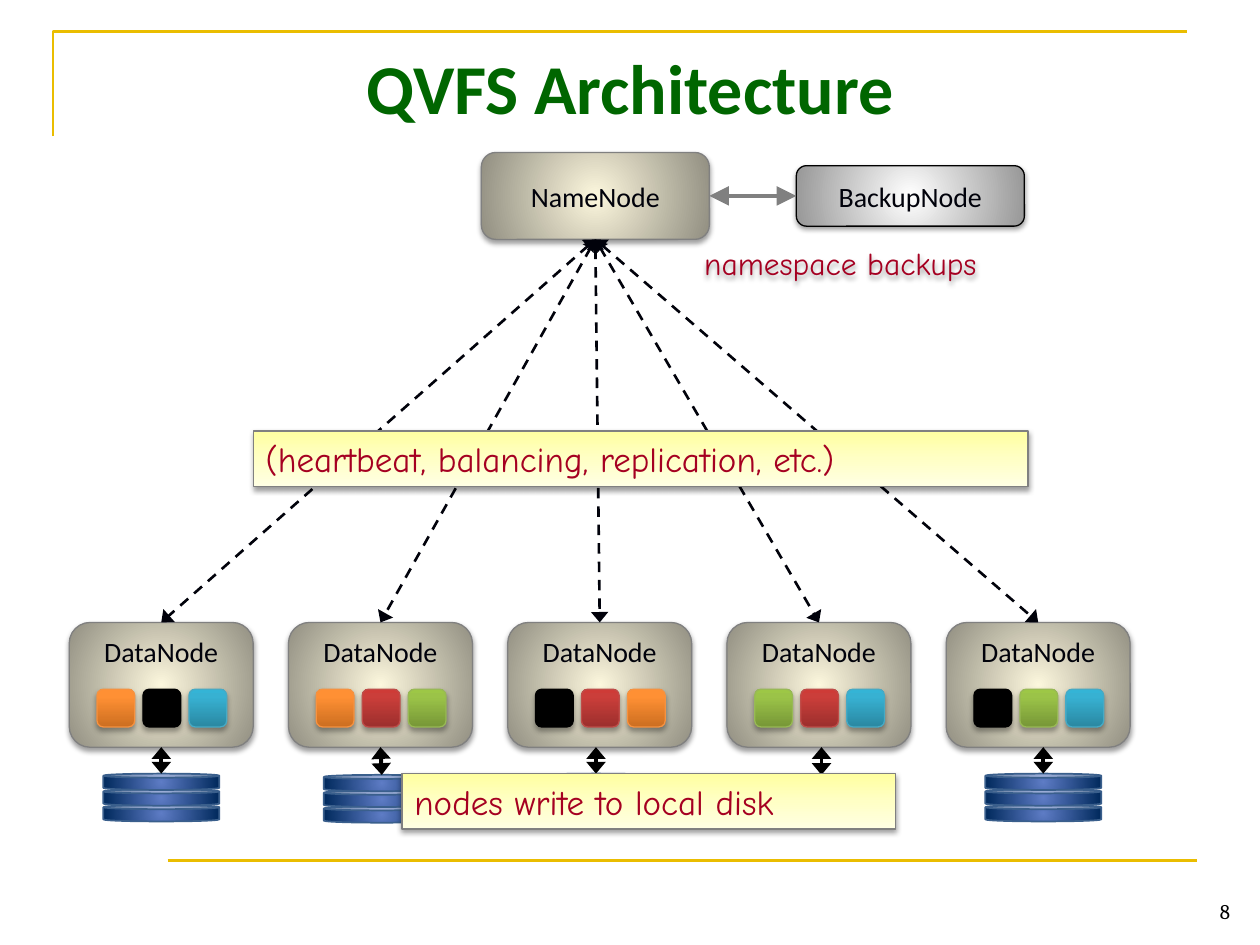
"""Build the file system architecture slide."""
from dataclasses import dataclass
from typing import NamedTuple, Optional

from lxml import etree
from pptx import Presentation
from pptx.dml.color import RGBColor
from pptx.enum.dml import MSO_LINE
from pptx.enum.shapes import MSO_CONNECTOR, MSO_SHAPE
from pptx.enum.text import MSO_ANCHOR, PP_ALIGN
from pptx.oxml.ns import qn
from pptx.util import Inches, Pt

ROUND, RECT, CAN = MSO_SHAPE.ROUNDED_RECTANGLE, MSO_SHAPE.RECTANGLE, MSO_SHAPE.CAN
STRAIGHT, DASH = MSO_CONNECTOR.STRAIGHT, MSO_LINE.DASH
TOP, MID, LOW = MSO_ANCHOR.TOP, MSO_ANCHOR.MIDDLE, MSO_ANCHOR.BOTTOM
LEFT, CENTER, RIGHT = PP_ALIGN.LEFT, PP_ALIGN.CENTER, PP_ALIGN.RIGHT
N_SIDE, W_SIDE, S_SIDE, E_SIDE = range(4)
WIDE, HIGH, COLS = Inches(10), Inches(7.5), 100


class Box(NamedTuple):
    """Left, top, width and height in grid columns and rows."""
    x: float
    y: float
    w: float
    h: float


class Paint(NamedTuple):
    """Gradient stops, outline and angle; no angle means radial."""
    stops: tuple
    line: str
    angle: Optional[int] = None
    width: float = 0.75


class Font(NamedTuple):
    """Look of a run of text."""
    name: str
    size: int
    color: str
    bold: bool = False


class Node(NamedTuple):
    """Blocks held by a data node, and the place of its disk."""
    blocks: str
    disk: float
    top: float


@dataclass(frozen=True)
class Theme:
    """Colours and type of the slide."""
    gold: str = "EABD00"
    gray: str = "808080"
    ink: str = "01020B"
    black: str = "000000"
    title: Font = Font("Calibri", 40, "006600", True)
    label: Font = Font("Calibri", 16, "01020B")
    note: Font = Font("Comic Neue", 20, "A50021")
    aside: Font = Font("Comic Neue", 18, "A50021")
    page: Font = Font("Cambria", 12, "000000")
    node: Paint = Paint(((0, "FCF7DD"), (100, "918E81")), "808080")
    backup: Paint = Paint(((0, "FFFFFF"), (100, "979797")), "000000")
    disk: Paint = Paint(((0, "5E7CC5"), (100, "00295C")), "3A5F8C", None, 1)
    band: Paint = Paint(((0, "FFFFA0"), (50, "FFFFC5"), (100, "FFFFE3")), "808080", 90)


THEME = Theme()
BLOCKS = {
    "O": Paint(((0, "CC6E20"), (80, "FF9034"), (100, "FF9136")), "F69240", 270),
    "K": Paint(((0, "000000"),), "000000"),
    "B": Paint(((0, "2A88A2"), (80, "37B1D2"), (100, "34B4D6")), "46AAC5", 270),
    "R": Paint(((0, "9C2F2D"), (80, "CB3E3A"), (100, "CE3B37")), "BF4C48", 270),
    "G": Paint(((0, "779737"), (80, "9BC348"), (100, "9DC746")), "98B955", 270),
}
NODES = (Node("OKB", 8.2, 61.4), Node("ORG", 25.7, 61.5), Node("KRO", 42.7, 61.4),
         Node("GRB", 60.6, 61.5), Node("KGB", 78.2, 61.4))


def grid(*cells: float) -> list:
    """Turn grid cells into lengths."""
    return [round(WIDE * cell / COLS) for cell in cells]


def add(root, tag: str, **attrs):
    """Append a drawing element."""
    return etree.SubElement(root, qn(f"a:{tag}"), {k: str(v) for k, v in attrs.items()})


def shade(shape, alpha: int = 38, dist: float = 1.6) -> None:
    """Cast a soft shadow downwards."""
    shape.shadow.inherit = False
    root = shape._element.spPr.find(qn("a:effectLst"))
    cast = add(root, "outerShdw", blurRad=Pt(3.1), dist=Pt(dist), dir=5400000, rotWithShape=0)
    add(add(cast, "srgbClr", val=THEME.black), "alpha", val=alpha * 1000)


def stroke(line, color: str, width: float) -> None:
    """Set the colour and width of a line."""
    line.color.rgb = RGBColor.from_string(color)
    line.width = Pt(width)


def coat(shape, paint: Paint) -> None:
    """Fill and outline a shape."""
    stroke(shape.line, paint.line, paint.width)
    if len(paint.stops) == 1:
        shape.fill.solid()
        shape.fill.fore_color.rgb = RGBColor.from_string(paint.stops[0][1])
        return
    shape.fill.gradient()
    root = shape._element.spPr.find(qn("a:gradFill"))
    for child in list(root):
        root.remove(child)
    stops = add(root, "gsLst")
    for spot, color in paint.stops:
        add(add(stops, "gs", pos=spot * 1000), "srgbClr", val=color)
    if paint.angle is None:
        ring = add(root, "path", path="circle")
        add(ring, "fillToRect", l=50000, t=50000, r=50000, b=50000)
    else:
        add(root, "lin", ang=paint.angle * 60000, scaled=0)


def write(shape, text: str, font: Font, align=CENTER, anchor=MID, wrap: bool = True) -> None:
    """Put formatted text in a shape."""
    frame = shape.text_frame
    frame.text = text
    para = frame.paragraphs[0]
    run = para.runs[0]
    run.font.color.rgb = RGBColor.from_string(font.color)
    looks = {frame: {"word_wrap": wrap, "vertical_anchor": anchor},
             para: {"alignment": align},
             run.font: {"name": font.name, "size": Pt(font.size), "bold": font.bold}}
    for item, values in looks.items():
        for key, value in values.items():
            setattr(item, key, value)


def draw(slide, kind, box: Box, paint: Paint):
    """Draw a painted shape without a shadow."""
    shape = slide.shapes.add_shape(kind, *grid(*box))
    shape.shadow.inherit = False
    coat(shape, paint)
    return shape


def card(slide, box: Box, text: str, paint: Paint, anchor=MID):
    """Draw a rounded, labelled node."""
    shape = draw(slide, ROUND, box, paint)
    shade(shape)
    write(shape, text, THEME.label, anchor=anchor, wrap=False)
    return shape


def band(slide, box: Box, text: str) -> None:
    """Draw a yellow note."""
    shape = draw(slide, RECT, box, THEME.band)
    shade(shape)
    write(shape, text, THEME.note, LEFT)


def label(slide, box: Box, text: str, font: Font, align, anchor):
    """Draw a plain text box."""
    shape = slide.shapes.add_textbox(*grid(*box))
    write(shape, text, font, align, anchor)
    return shape


def link(slide, ends: tuple, color: str, width: float, dash=None, head: str = "med"):
    """Draw a straight line, with arrowheads of a given length at both ends."""
    wire = slide.shapes.add_connector(STRAIGHT, *grid(*ends))
    stroke(wire.line, color, width)
    if dash:
        wire.line.dash_style = dash
    if head:
        for tag in ("headEnd", "tailEnd"):
            add(wire.line._ln, tag, type="triangle", w="lg", len=head)
    add(wire._element.spPr, "effectLst")
    return wire


def join(slide, start, side: int, end, goal: int, *look) -> None:
    """Join the sides of two shapes with an arrow."""
    wire = link(slide, (0, 0, 1, 1), *look)
    wire.begin_connect(start, side)
    wire.end_connect(end, goal)


def frame(slide) -> None:
    """Draw the gold rules, title and page number."""
    corner, bend, end = (grid(*spot) for spot in ((4.2, 10.8), (4.2, 2.5), (94.2, 2.5)))
    pen = slide.shapes.build_freeform(*corner)
    pen.add_line_segments([bend, end], close=False)
    rule = pen.convert_to_shape()
    rule.shadow.inherit = False
    rule.fill.background()
    stroke(rule.line, THEME.gold, 1.5)
    link(slide, (13.3, 68.3, 95, 68.3), THEME.gold, 1.5, head="")
    title = slide.shapes.title
    for key, value in zip(("left", "top", "width", "height"), grid(5, 2.6, 90, 8.6)):
        setattr(title, key, value)
    write(title, "QVFS Architecture", THEME.title)
    label(slide, Box(91, 68.8, 7.6, 5), "8", THEME.page, RIGHT, LOW)


def store(slide, spot: int, node: Node):
    """Draw a data node with its blocks."""
    left = 5.5 + 17.4 * spot
    shape = card(slide, Box(left, 49.4, 14.6, 9.9), "DataNode", THEME.node, TOP)
    for rank, code in enumerate(node.blocks):
        block = draw(slide, ROUND, Box(left + 2.2 + 3.65 * rank, 54.7, 3, 3), BLOCKS[code])
        shade(block, 35, 1.8)
    return shape


def disk(slide, node: Node, owner) -> None:
    """Draw a stack of platters and its arrow."""
    for rank in (2, 1, 0):
        draw(slide, CAN, Box(node.disk, node.top + 1.25 * rank, 9.2, 1.3), THEME.disk)
    mid = node.disk + 4.6
    wire = link(slide, (mid, 59.3, mid, node.top), THEME.black, 2.25)
    if abs(grid(mid)[0] - owner.left - owner.width / 2) < Inches(0.02):
        wire.begin_connect(owner, S_SIDE)


def main() -> None:
    """Compose and save the slide."""
    deck = Presentation()
    deck.slide_width, deck.slide_height = WIDE, HIGH
    slide = deck.slides.add_slide(deck.slide_layouts[5])
    frame(slide)
    name = card(slide, Box(38.2, 12.1, 18.1, 6.9), "NameNode", THEME.node)
    spare = card(slide, Box(63.2, 13.15, 18.1, 4.8), "BackupNode", THEME.backup)
    stores = [store(slide, spot, node) for spot, node in enumerate(NODES)]
    join(slide, name, E_SIDE, spare, W_SIDE, THEME.gray, 2.25, None, "lg")
    for owner in stores:
        join(slide, name, S_SIDE, owner, N_SIDE, THEME.ink, 1.5, DASH)
    band(slide, Box(20.1, 34.2, 61.5, 4.4), "(heartbeat, balancing, replication, etc.)")
    for node, owner in zip(NODES, stores):
        disk(slide, node, owner)
    band(slide, Box(31.9, 61.4, 39.2, 4.4), "nodes write to local disk")
    aside = label(slide, Box(54.9, 18.9, 28.9, 4), "namespace backups", THEME.aside, LEFT, TOP)
    shade(aside)
    deck.save("out.pptx")


if __name__ == "__main__":
    main()
